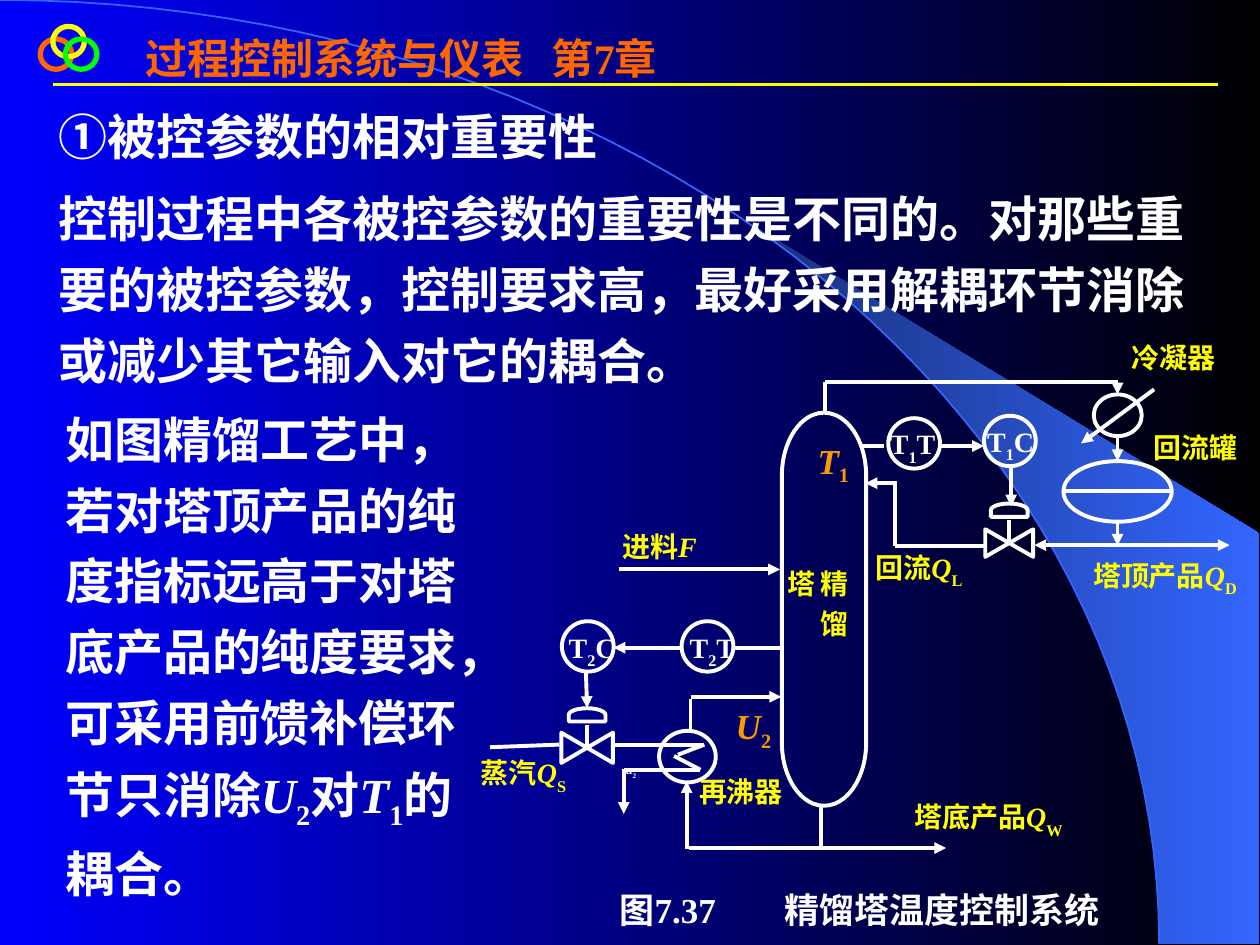
from math import asin, cos, pi, sin

from lxml import etree
from pptx import Presentation
from pptx.dml.color import RGBColor
from pptx.enum.shapes import MSO_CONNECTOR, MSO_SHAPE
from pptx.enum.text import MSO_AUTO_SIZE, PP_ALIGN
from pptx.oxml.ns import qn
from pptx.util import Pt

OVAL = MSO_SHAPE.OVAL
TERMINATOR = MSO_SHAPE.FLOWCHART_TERMINATOR
COLLATE = MSO_SHAPE.FLOWCHART_COLLATE
DELAY = MSO_SHAPE.FLOWCHART_DELAY
STRAIGHT = MSO_CONNECTOR.STRAIGHT
GROW = MSO_AUTO_SIZE.SHAPE_TO_FIT_TEXT
FIXED = MSO_AUTO_SIZE.NONE
LEFT, CENTER = PP_ALIGN.LEFT, PP_ALIGN.CENTER

WHITE = RGBColor(0xFF, 0xFF, 0xFF)
BLACK = RGBColor(0, 0, 0)
BLUE = RGBColor(0, 0, 0xFF)
NAVY = RGBColor(0x18, 0x2F, 0x76)
SKY = RGBColor(0x33, 0x66, 0xFF)
YELLOW = RGBColor(0xFF, 0xFF, 0)
GREEN = RGBColor(0, 0xFF, 0)
ORANGE = RGBColor(0xFF, 0x66, 0)
AMBER = RGBColor(0xFF, 0x99, 0)

FONT = "Times New Roman"
W, H = 720, 540
ARC_RX, ARC_RY = 662.4, 539.3


def add_run(p, text, size=16, color=WHITE, italic=False, base=0, spacing=0):
    """Add one bold run; base is the baseline shift in percent."""
    r = p.add_run()
    r.text = text
    f = r.font
    f.name, f.size, f.bold, f.italic = FONT, Pt(size), True, italic
    f.color.rgb = color
    if base:
        f._element.set("baseline", str(base * 1000))
    if spacing:
        f._element.set("spc", str(spacing * 100))


def set_gradient(fill, start, end):
    fill.gradient()
    fill.gradient_angle = 0
    for stop, color in zip(fill.gradient_stops, (start, end)):
        stop.color.rgb = color


def arc_points(start, steps=48):
    """Points on the quarter ellipse from angle start to its lower end."""
    angles = [start + (pi / 2 - start) * i / steps for i in range(steps + 1)]
    return [(ARC_RX * sin(a), ARC_RY * (1 - cos(a))) for a in angles]


class Slide:
    def __init__(self, prs):
        self.s = prs.slides.add_slide(prs.slide_layouts[6])
        self.shapes = self.s.shapes

    def outline(self, points, closed):
        pts = [(Pt(x), Pt(y)) for x, y in points]
        builder = self.shapes.build_freeform(*pts[0], scale=1.0)
        builder.add_line_segments(pts[1:], close=closed)
        sp = builder.convert_to_shape()
        sp.shadow.inherit = False
        return sp

    def shape(self, kind, x, y, w, h, color=WHITE, width=2.25, rotation=0):
        sp = self.shapes.add_shape(kind, Pt(x), Pt(y), Pt(w), Pt(h))
        sp.rotation = rotation
        sp.shadow.inherit = False
        sp.fill.background()
        sp.line.color.rgb = color
        sp.line.width = Pt(width)

    def line(self, x1, y1, x2, y2, ends="", color=WHITE, width=2.25):
        """ends: '>' puts an arrowhead at the end, '<>' at both ends."""
        cn = self.shapes.add_connector(STRAIGHT, Pt(x1), Pt(y1), Pt(x2), Pt(y2))
        cn.line.color.rgb = color
        cn.line.width = Pt(width)
        ln = cn.line._get_or_add_ln()
        for mark, tag in (("<", "a:headEnd"), (">", "a:tailEnd")):
            if mark in ends:
                etree.SubElement(ln, qn(tag), type="triangle")
        etree.SubElement(cn._element.spPr, qn("a:effectLst"))

    def text(self, x, y, w, h, *paragraphs, align=LEFT, grow=False, wrap=True,
             leading=None, before=0, tab=None, vertical=False, sub=-30, **fmt):
        """Pieces are split by '|'; '*' opens italics, '_' a subscript."""
        sp = self.shapes.add_textbox(Pt(x), Pt(y), Pt(w), Pt(h))
        tf = sp.text_frame
        tf.word_wrap = wrap
        tf.auto_size = GROW if grow else FIXED
        if vertical:
            tf._txBody.bodyPr.set("vert", "eaVert")
            tf.margin_left = tf.margin_right = Pt(3.6)
            tf.margin_top = tf.margin_bottom = Pt(7.2)
        for i, content in enumerate(paragraphs):
            p = tf.add_paragraph() if i else tf.paragraphs[0]
            p.alignment = align
            if leading:
                p.line_spacing = leading
            if i:
                p.space_before = Pt(before)
            if tab:
                tabs = etree.SubElement(p._p.get_or_add_pPr(), qn("a:tabLst"))
                etree.SubElement(tabs, qn("a:tab"), pos=str(Pt(tab)), algn="l")
            for piece in content.split("|"):
                add_run(p, piece.lstrip("*_"), italic=piece.startswith("*"),
                        base=sub if piece.startswith("_") else 0, **fmt)

    def instrument(self, x, y, label, label_x):
        self.shape(OVAL, x, y, 29.6, 28.8)
        self.text(label_x, y + 1.5, 44, 25.5, label)

    def valve(self, cx, cy, w, h):
        """Control valve: body, stem and actuator dome."""
        self.shape(COLLATE, cx - h / 2, cy - w / 2, h, w, rotation=270)
        self.line(cx, cy, cx, cy - 13)
        self.shape(DELAY, cx - 3.8, cy - 29.3, 7.6, 21, rotation=270)


def draw_frame(slide):
    # Background and light beam
    set_gradient(slide.s.background.fill, BLUE, BLACK)
    beam = arc_points(asin(424 / ARC_RX)) + [(719.3, 539.3), (719.3, 304.6)]
    sp = slide.outline(beam, True)
    set_gradient(sp.fill, NAVY, SKY)
    sp.line.fill.background()
    sp = slide.outline(arc_points(0), False)
    sp.fill.background()
    sp.line.color.rgb = SKY
    sp.line.width = Pt(1)

    # Header
    slide.line(30.2, 48.2, 696.2, 48.2, color=YELLOW, width=1.5)
    slide.text(76.3, 15.1, 323.3, 64.8, "过程控制系统与仪表\t第7章",
               size=24, color=ORANGE, grow=True, tab=232)
    for x, y, color in ((23, 22.3, ORANGE), (30.2, 15.1, YELLOW), (37.4, 22.3, GREEN)):
        slide.shape(OVAL, x, y, 18, 17.3, color=color, width=3)


def draw_body(slide):
    body = dict(size=28, grow=True, leading=1.2, before=7, sub=-25)
    slide.text(26.6, 50.4, 669.6, 175.7, "①被控参数的相对重要性",
               "控制过程中各被控参数的重要性是不同的。对那些重要的被控参数，"
               "控制要求高，最好采用解耦环节消除或减少其它输入对它的耦合。", **body)
    slide.text(30.2, 223.9, 258.5, 301,
               "如图精馏工艺中，若对塔顶产品的纯度指标远高于对塔底产品的纯度要求，"
               "可采用前馈补偿环节只消除|*U|_2|对|*T|_1|的耦合。", **body)


def draw_process(slide):
    # Column, reboiler, reflux drum, condenser
    slide.shape(TERMINATOR, 358.6, 324, 224.6, 48.2, rotation=270)
    slide.shape(OVAL, 376.6, 417.6, 32.4, 29.5)
    slide.shape(OVAL, 607.7, 263.5, 61.9, 34.6)
    slide.shape(OVAL, 625, 225.4, 27.4, 23.8)

    # Valves
    slide.valve(335.5, 427.3, 29.5, 17.3)
    slide.valve(576.7, 310.3, 27.4, 15.8)

    # Plain pipes
    for ends in (
        (471.2, 235.4, 471.2, 218.5), (471.2, 218.5, 638.6, 218.5),
        (511.4, 275, 511.4, 312.2), (511.2, 311.8, 563, 311.8),
        (400.3, 439.9, 356.4, 439.9), (401.8, 425.5, 350.6, 425.5),
        (400.3, 439.9, 385.2, 432), (402.5, 425.5, 387.4, 431.3),
        (469.4, 460.8, 469.4, 484.6), (394.6, 417.6, 394.6, 399.6),
        (419, 370.1, 446.4, 370.1), (280.1, 427, 319.7, 425.5),
        (492.5, 254.9, 505.4, 254.9), (607.7, 280.8, 669.6, 280.8),
    ):
        slide.line(*ends)

    # Flows and signals with arrowheads
    for ends in (
        (511.2, 276.1, 494.6, 276.1), (353.5, 325.4, 445.7, 325.4),
        (356.4, 439.2, 356.4, 465.1), (392.4, 485.3, 392.4, 446.4),
        (393.8, 484.6, 540.7, 484.6), (394.6, 398.2, 446.4, 398.2),
        (334.8, 383.8, 335.5, 404.6), (389.5, 370.1, 350.6, 370.1),
        (577.8, 266.4, 577.8, 289.4), (536.4, 254.9, 562.3, 254.9),
        (659.5, 222.5, 617.8, 253.4), (638.6, 218.9, 638.6, 225.4),
        (638.6, 249.8, 638.6, 263.5), (638.6, 298.1, 638.6, 311.8),
    ):
        slide.line(*ends, ends=">")
    slide.line(591.1, 311.5, 702.7, 311.5, ends="<>")

    # Instruments
    for item in ((321.1, 355, "T|_2|C", 317.9), (389.5, 355, "T|_2|T", 387),
                 (562.3, 237.6, "T|_1|C", 557), (507.6, 239, "T|_1|T", 501.5)):
        slide.instrument(*item)


def draw_labels(slide):
    for x, y, w, label, align in (
        (391.7, 439.2, 63.4, "再沸器", CENTER),
        (493.2, 311, 65.5, "回流|*Q|_L", LEFT),
        (515.5, 453.6, 112.3, "塔底产品|*Q|_W", LEFT),
        (267.8, 428.4, 67.7, "蒸汽|*Q|_S", LEFT),
        (348.5, 298.8, 59.8, "进料|*F", LEFT),
        (611.3, 315.4, 108.7, "塔顶产品|*Q|_D", CENTER),
        (639.4, 190.8, 63.4, "冷凝器", LEFT),
        (652.3, 242.6, 63.4, "回流罐", LEFT),
    ):
        slide.text(x, y, w, 28.8, label, color=YELLOW, align=align)
    slide.text(446.4, 318.2, 43.2, 75.6, "精馏塔", color=YELLOW,
               vertical=True, spacing=7)
    slide.text(350.6, 432, 20.9, 17.3, "*u|_2", size=7)
    for x, y, w, label in ((413.3, 393.8, 34.6, "*U|_2"), (460.1, 241.9, 32.4, "*T|_1")):
        slide.text(x, y, w, 40.3, label, size=20, color=AMBER, grow=True,
                   wrap=False, leading=1.2, sub=-25)

    # Caption
    slide.text(347, 504, 313.9, 36, "图7.37\t精馏塔温度控制系统", size=20, tab=94)


def main():
    prs = Presentation()
    prs.slide_width, prs.slide_height = Pt(W), Pt(H)
    slide = Slide(prs)
    for draw in (draw_frame, draw_body, draw_process, draw_labels):
        draw(slide)
    prs.save("out.pptx")


if __name__ == "__main__":
    main()
